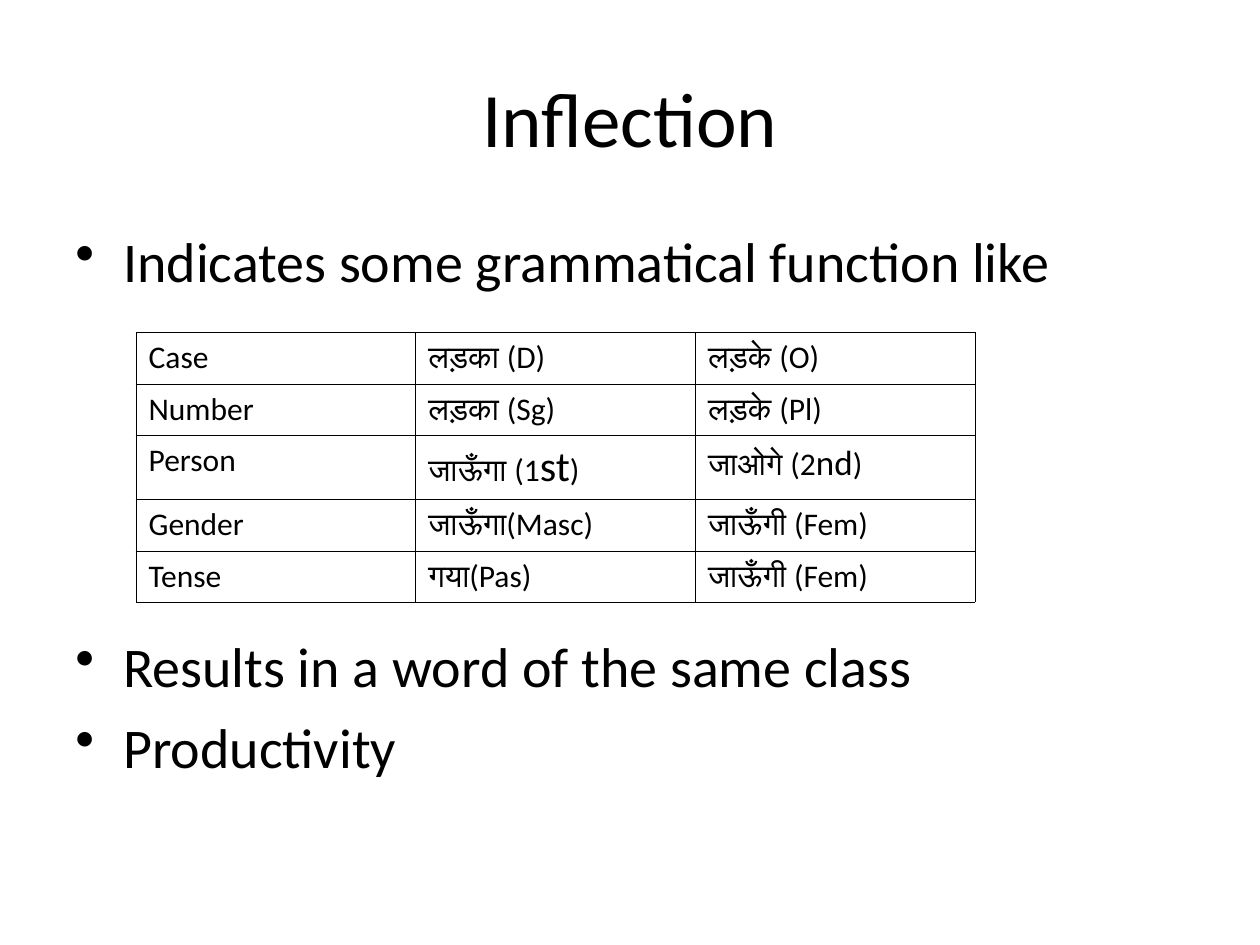
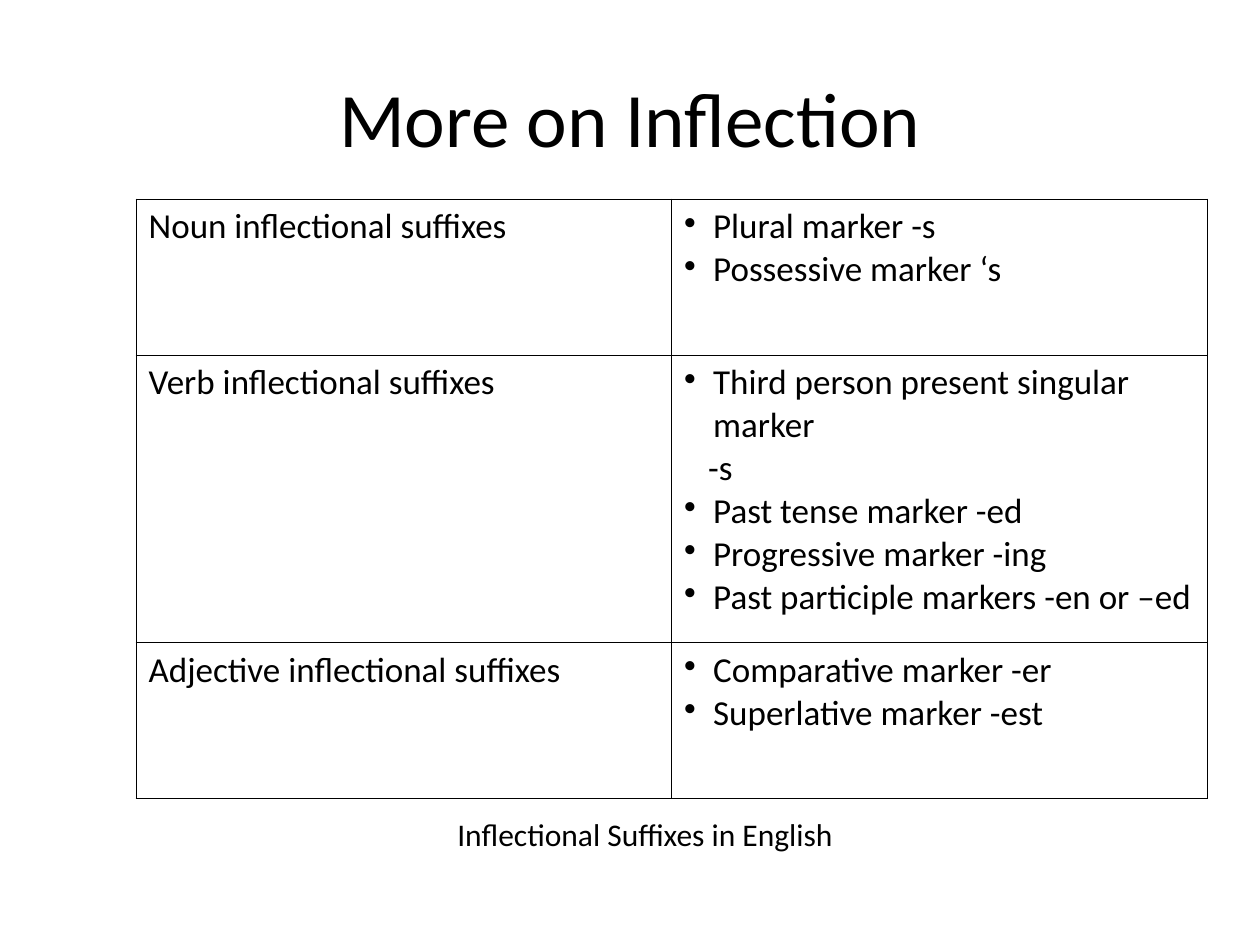
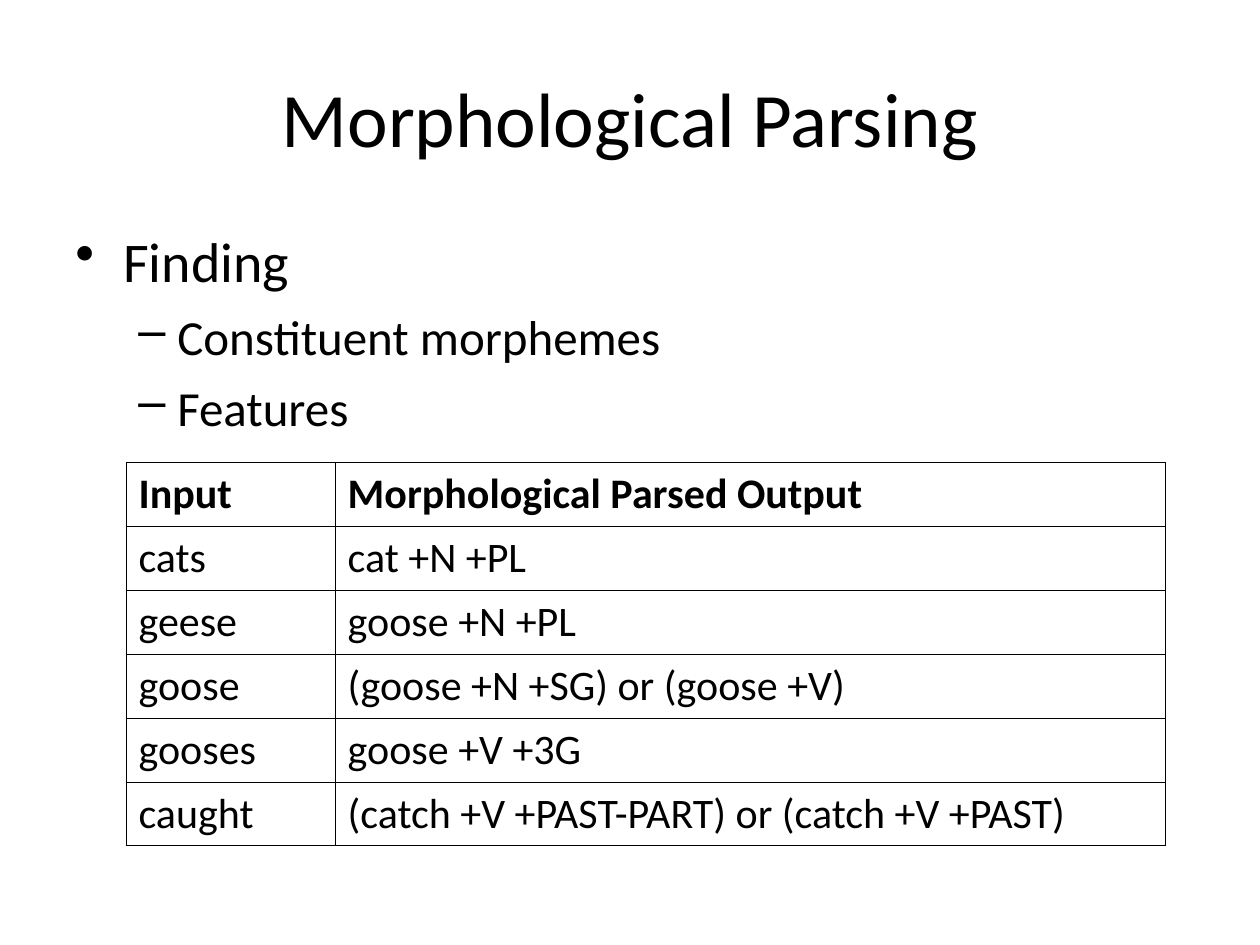
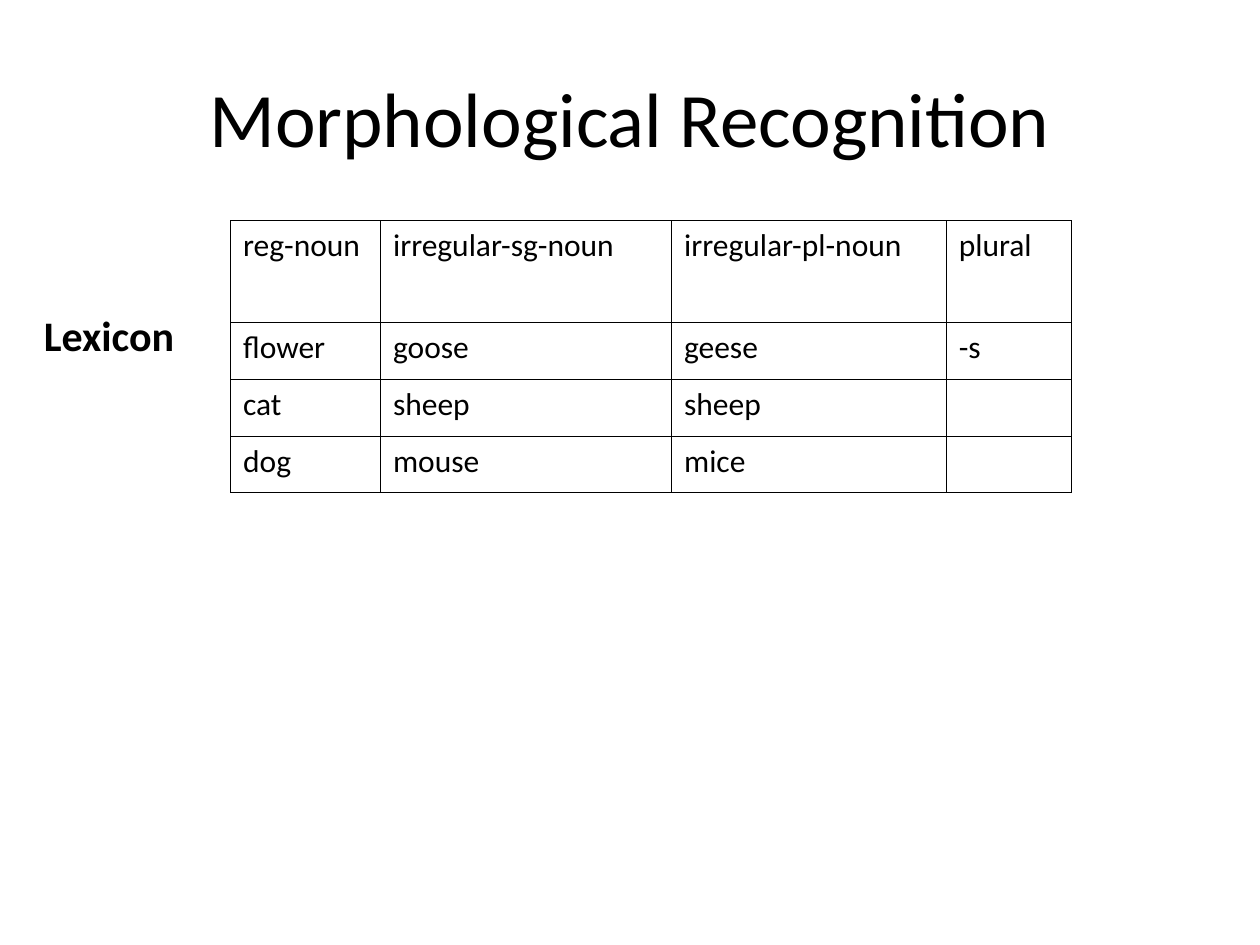
from dataclasses import dataclass

from lxml.etree import SubElement
from pptx import Presentation
from pptx.dml.color import RGBColor
from pptx.enum.text import MSO_ANCHOR as Anchor, MSO_AUTO_SIZE as AutoSize, PP_ALIGN as Align
from pptx.oxml.ns import qn
from pptx.util import Inches, Pt

COLORS = {"text": "000000", "border": "000000"}
FONT = "Calibri"
BORDER_WIDTH = Pt(0.45)
TITLE_ONLY = 5


@dataclass
class Line:
    """One paragraph; text is a string or a list of (text, size) spans."""
    text: str | list
    size: float
    bullet: str = ""
    margin: float = 0
    hang: float = 0
    before: float = 0
    bold: bool = False
    align: Align = Align.LEFT


def main_point(text, before=0):
    return Line(text, 32, "•", 0.38, 0.38, before)


def sub_point(text):
    return Line(text, 28, "–", 0.81, 0.31, 7)


def cell_point(text):
    return Line(text, 20, "•", 0.23, 0.23)


def style_font(font, size, bold=False):
    font.name = FONT
    font.size = Pt(size)
    font.bold = bold
    font.color.rgb = RGBColor.from_string(COLORS["text"])


def add_color(parent, color):
    SubElement(parent, qn("a:srgbClr"), val=COLORS[color])


def write_line(para, line):
    props = para._p.get_or_add_pPr()
    props.set("marL", str(Inches(line.margin)))
    props.set("indent", str(-Inches(line.hang)))
    if line.bullet:
        add_color(SubElement(props, qn("a:buClr")), "text")
        SubElement(props, qn("a:buChar"), char=line.bullet)
    else:
        SubElement(props, qn("a:buNone"))
    para.alignment = line.align
    para.space_before = Pt(line.before)
    style_font(para.font, line.size, line.bold)
    spans = [(line.text, None)] if isinstance(line.text, str) else line.text
    for text, size in spans:
        if text:
            span = para.add_run()
            span.text = text
            if size:
                span.font.size = Pt(size)


def write_lines(frame, lines):
    for index, line in enumerate(lines):
        write_line(frame.add_paragraph() if index else frame.paragraphs[0], line)


def add_page(deck, title):
    page = deck.slides.add_slide(deck.slide_layouts[TITLE_ONLY])
    box = page.shapes.title
    box.left, box.top, box.width, box.height = map(Inches, (0.5, 0.3, 9, 1.25))
    box.text_frame.vertical_anchor = Anchor.MIDDLE
    write_lines(box.text_frame, [Line(title, 44, align=Align.CENTER)])
    return page


def add_text(page, left, top, width, height, lines, grow=False):
    box = page.shapes.add_textbox(*map(Inches, (left, top, width, height)))
    frame = box.text_frame
    frame.word_wrap = True
    frame.auto_size = AutoSize.SHAPE_TO_FIT_TEXT if grow else AutoSize.NONE
    write_lines(frame, lines)


def add_body(page, lines):
    add_text(page, 0.5, 1.75, 9, 4.95, lines)


def add_borders(cell):
    props = cell._tc.get_or_add_tcPr()
    for side in ("lnL", "lnR", "lnT", "lnB"):
        edge = SubElement(props, qn(f"a:{side}"), w=str(BORDER_WIDTH))
        add_color(SubElement(edge, qn("a:solidFill")), "border")


def add_grid(page, left, top, widths, heights, rows, size, bold_header=False):
    """Add a bordered table; a cell is a string or a list of Line objects."""
    frame = page.shapes.add_table(len(rows), len(widths), Inches(left), Inches(top),
                                  Inches(sum(widths)), Inches(sum(heights)))
    table = frame.table
    table.first_row = table.horz_banding = False
    for column, width in zip(table.columns, widths):
        column.width = Inches(width)
    for row, height in zip(table.rows, heights):
        row.height = Inches(height)
    for row_index, contents in enumerate(rows):
        for column_index, content in enumerate(contents):
            cell = table.cell(row_index, column_index)
            add_borders(cell)
            cell.fill.background()
            if isinstance(content, str):
                content = [Line(content, size, bold=bold_header and row_index == 0)]
            write_lines(cell.text_frame, content)


def build_inflection(deck):
    page = add_page(deck, "Inflection")
    # The wide space before the second point leaves room for the table.
    add_body(page, [
        main_point("Indicates some grammatical function like"),
        main_point("Results in a word of the same class", before=193),
        main_point("Productivity", before=8),
    ])
    first_person = Line([("जाऊँगा (1", None), ("st", 24), (")", None)], 18)
    second_person = Line([("जाओगे (2", None), ("nd", 20), (")", None)], 18)
    rows = [
        ("Case", "लड़का (D)", "लड़के (O)"),
        ("Number", "लड़का (Sg)", "लड़के (Pl)"),
        ("Person", [first_person], [second_person]),
        ("Gender", "जाऊँगा(Masc)", "जाऊँगी (Fem)"),
        ("Tense", "गया(Pas)", "जाऊँगी (Fem)"),
    ]
    add_grid(page, 1.08, 2.64, [2.22] * 3, [0.41, 0.4, 0.5, 0.41, 0.4], rows, 18)


def build_more_inflection(deck):
    page = add_page(deck, "More on Inflection")
    rows = [
        ("Noun inflectional suffixes",
         [cell_point("Plural marker -s"), cell_point("Possessive marker ‘s")]),
        ("Verb inflectional suffixes",
         [cell_point("Third person present singular marker"),
          Line("-s", 20, margin=0.19),
          cell_point("Past tense marker -ed"),
          cell_point("Progressive marker -ing"),
          cell_point("Past participle markers -en or –ed")]),
        ("Adjective inflectional suffixes",
         [cell_point("Comparative marker -er"), cell_point("Superlative marker -est")]),
    ]
    add_grid(page, 1.08, 1.58, [4.25] * 2, [1.24, 2.28, 1.24], rows, 20)
    add_text(page, 0.83, 6.42, 8.58, 0.4,
             [Line("Inflectional Suffixes in English", 18, align=Align.CENTER)], grow=True)


def build_parsing(deck):
    page = add_page(deck, "Morphological Parsing")
    add_body(page, [main_point("Finding"), sub_point("Constituent morphemes"),
                    sub_point("Features")])
    rows = [
        ("Input", "Morphological Parsed Output"),
        ("cats", "cat +N +PL"),
        ("geese", "goose +N +PL"),
        ("goose", "(goose +N +SG) or (goose +V)"),
        ("gooses", "goose +V +3G"),
        ("caught", "(catch +V +PAST-PART) or (catch +V +PAST)"),
    ]
    add_grid(page, 1, 3.67, [1.66, 6.59], [0.5] * len(rows), rows, 24, bold_header=True)


def build_recognition(deck):
    page = add_page(deck, "Morphological Recognition")
    rows = [
        ("reg-noun", "irregular-sg-noun", "irregular-pl-noun", "plural"),
        ("flower", "goose", "geese", "-s"),
        ("cat", "sheep", "sheep", ""),
        ("dog", "mouse", "mice", ""),
    ]
    add_grid(page, 1.83, 1.75, [1.19, 2.31, 2.18, 0.99], [0.81] + [0.45] * 3, rows, 18)
    add_text(page, 0.25, 2.41, 1.42, 0.5, [Line("Lexicon", 24, bold=True)], grow=True)


def main():
    deck = Presentation()
    deck.slide_width, deck.slide_height = Inches(10), Inches(7.5)
    build_inflection(deck)
    build_more_inflection(deck)
    build_parsing(deck)
    build_recognition(deck)
    deck.save("out.pptx")


if __name__ == "__main__":
    main()
